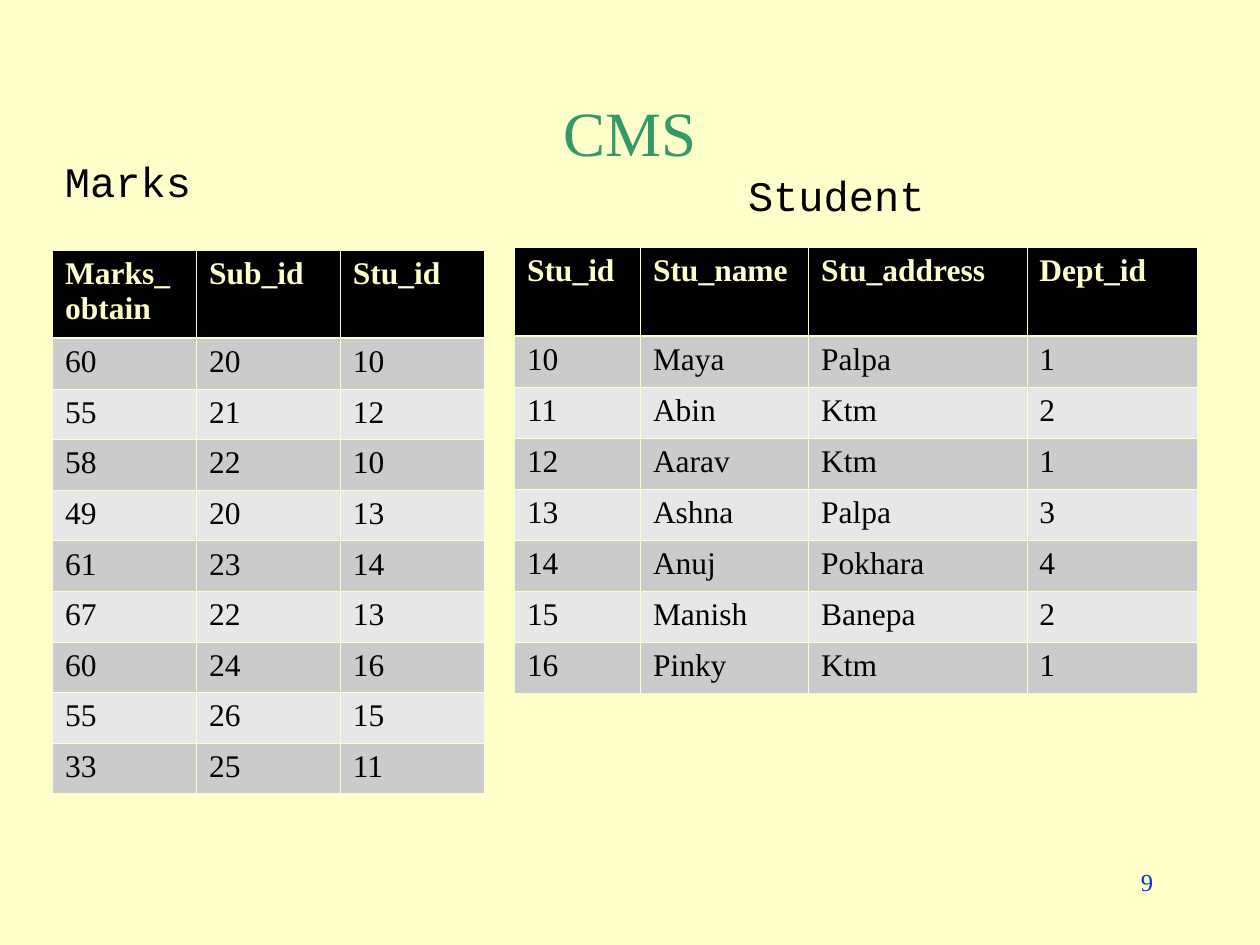
from dataclasses import dataclass

from lxml import etree
from pptx import Presentation
from pptx.dml.color import RGBColor
from pptx.enum.text import MSO_ANCHOR, MSO_AUTO_SIZE, PP_ALIGN
from pptx.oxml.ns import qn
from pptx.util import Cm, Pt

LEFT, CENTER, RIGHT = PP_ALIGN.LEFT, PP_ALIGN.CENTER, PP_ALIGN.RIGHT
TOP, MIDDLE = MSO_ANCHOR.TOP, MSO_ANCHOR.MIDDLE
FIT_SHAPE, NO_FIT = MSO_AUTO_SIZE.SHAPE_TO_FIT_TEXT, MSO_AUTO_SIZE.NONE

SERIF, MONO = "Times New Roman", "Courier New"
CREAM, BLACK, GREEN, BLUE = "FFFFCC", "000000", "339966", "0033CC"
BANDS = ("CBCBCB", "E7E7E7")
THIN, THICK = 0.45, 1.47
HEADER_HEIGHT = 1.78


@dataclass
class Label:
    text: str
    box: tuple[float, float, float, float]
    size: int
    color: str
    font: str = SERIF
    align: PP_ALIGN = LEFT
    anchor: MSO_ANCHOR = TOP
    fitted: bool = False


@dataclass
class Relation:
    left: float
    top: float
    column_widths: list[float]
    row_height: float
    fields: list[str]
    records: list[tuple]


def rgb(hex_color: str) -> RGBColor:
    return RGBColor.from_string(hex_color)


def write(paragraph, text: str, size: int, color: str, **formats) -> None:
    run = paragraph.add_run()
    run.text = text
    for name, value in {"size": Pt(size), **formats}.items():
        setattr(run.font, name, value)
    run.font.color.rgb = rgb(color)


def draw_label(slide, label: Label) -> None:
    frame = slide.shapes.add_textbox(*map(Cm, label.box)).text_frame
    formats = {
        "word_wrap": not label.fitted,
        "auto_size": FIT_SHAPE if label.fitted else NO_FIT,
        "vertical_anchor": label.anchor,
    }
    for name, value in formats.items():
        setattr(frame, name, value)
    paragraph = frame.paragraphs[0]
    paragraph.alignment = label.align
    write(paragraph, label.text, label.size, label.color, name=label.font)


def draw_borders(cell, row: int) -> None:
    properties = cell._tc.get_or_add_tcPr()
    widths = {
        "a:lnL": THIN,
        "a:lnR": THIN,
        "a:lnT": THICK if row == 1 else THIN,
        "a:lnB": THICK if row == 0 else THIN,
    }
    for tag, width in widths.items():
        line = etree.SubElement(properties, qn(tag), w=str(Pt(width)))
        fill = etree.SubElement(line, qn("a:solidFill"))
        etree.SubElement(fill, qn("a:srgbClr"), val=CREAM)


def draw_relation(slide, relation: Relation) -> None:
    rows = [relation.fields, *relation.records]
    heights = [HEADER_HEIGHT] + [relation.row_height] * len(relation.records)
    widths = relation.column_widths
    table = slide.shapes.add_table(
        len(rows), len(widths), Cm(relation.left), Cm(relation.top),
        Cm(sum(widths)), Cm(sum(heights)),
    ).table
    for column, width in zip(table.columns, widths):
        column.width = Cm(width)
    for r, (values, height) in enumerate(zip(rows, heights)):
        is_header = r == 0
        table.rows[r].height = Cm(height)
        for c, value in enumerate(values):
            cell = table.cell(r, c)
            draw_borders(cell, r)
            cell.fill.solid()
            cell.fill.fore_color.rgb = rgb(BLACK if is_header else BANDS[(r - 1) % 2])
            write(cell.text_frame.paragraphs[0], str(value), 18,
                  CREAM if is_header else BLACK, name=SERIF, bold=is_header)


LABELS = [
    Label("CMS", (1.9, 1.7, 21.6, 1.9), 36, GREEN, align=CENTER, anchor=MIDDLE),
    Label("Marks", (1.06, 3.02, 3.05, 1.28), 24, BLACK, MONO, fitted=True),
    Label("Student", (14.83, 3.3, 4.06, 1.28), 24, BLACK, MONO, fitted=True),
    Label("9", (18.2, 17.35, 5.3, 1.27), 14, BLUE, align=RIGHT),
]

MARKS = Relation(
    1.06, 5.04, [2.9] * 3, 1.02,
    ["Marks_obtain", "Sub_id", "Stu_id"],
    [
        (60, 20, 10), (55, 21, 12), (58, 22, 10),
        (49, 20, 13), (61, 23, 14), (67, 22, 13),
        (60, 24, 16), (55, 26, 15), (33, 25, 11),
    ],
)

STUDENT = Relation(
    10.37, 4.99, [2.54, 3.39, 4.4, 3.44], 1.03,
    ["Stu_id", "Stu_name", "Stu_address", "Dept_id"],
    [
        (10, "Maya", "Palpa", 1),
        (11, "Abin", "Ktm", 2),
        (12, "Aarav", "Ktm", 1),
        (13, "Ashna", "Palpa", 3),
        (14, "Anuj", "Pokhara", 4),
        (15, "Manish", "Banepa", 2),
        (16, "Pinky", "Ktm", 1),
    ],
)


def main() -> None:
    presentation = Presentation()
    presentation.slide_width, presentation.slide_height = Cm(25.4), Cm(19.05)
    slide = presentation.slides.add_slide(presentation.slide_layouts[6])

    # Background
    slide.background.fill.solid()
    slide.background.fill.fore_color.rgb = rgb(CREAM)

    # Title, table names and page number
    for label in LABELS:
        draw_label(slide, label)

    # Database tables
    for relation in (MARKS, STUDENT):
        draw_relation(slide, relation)

    presentation.save("out.pptx")


if __name__ == "__main__":
    main()
